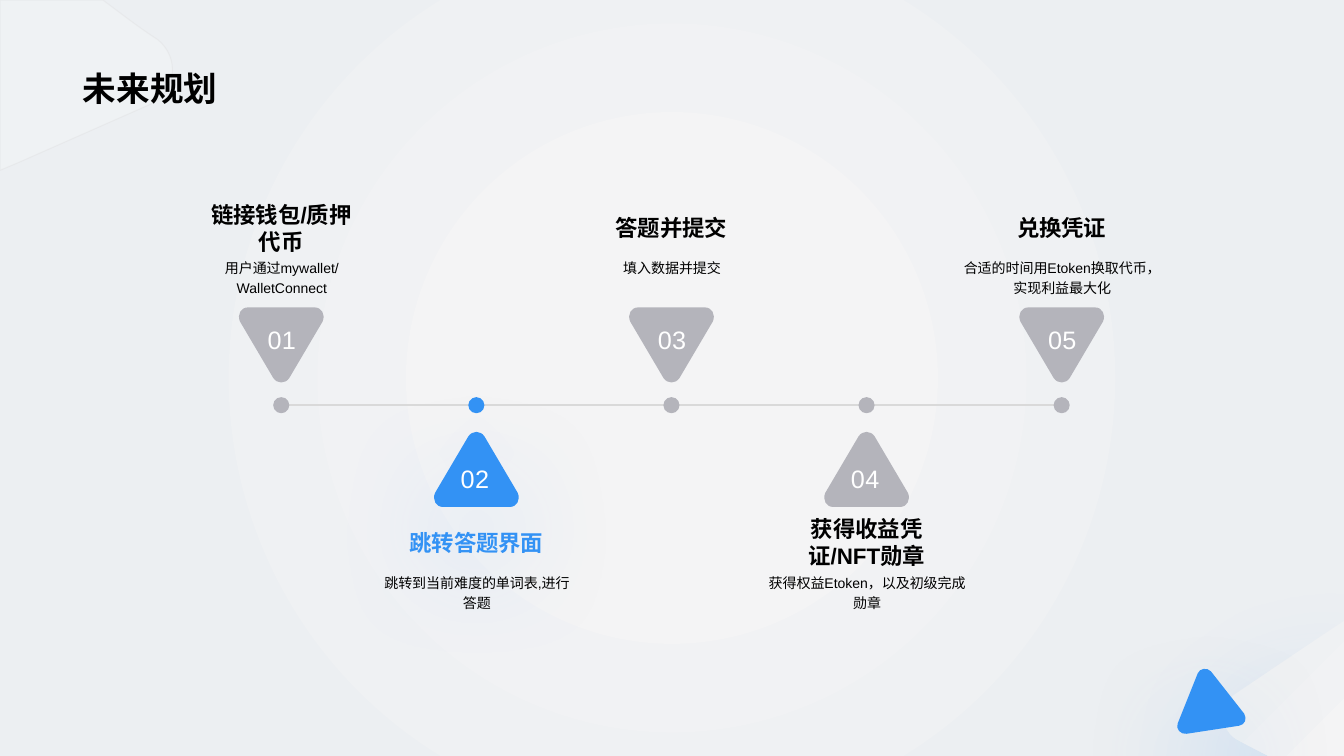
from lxml import etree
from pptx import Presentation
from pptx import util as u
from pptx.dml.color import RGBColor
from pptx.enum import shapes, text
from pptx.oxml import ns

BLUE = RGBColor(0x33, 0x92, 0xF4)
DEEP_BLUE = RGBColor(0x0C, 0x77, 0xE2)
GREY = RGBColor(0xB4, 0xB4, 0xBB)
RULE = RGBColor(0xD9, 0xD9, 0xD9)
EDGE = RGBColor(0xD0, 0xCE, 0xCE)
MIST = RGBColor(0xEC, 0xEF, 0xF2)
PALE = RGBColor(0xF4, 0xF4, 0xF5)
WHITE = RGBColor(0xFF, 0xFF, 0xFF)
BLACK = RGBColor(0, 0, 0)

W, H = 13.33, 7.5
FIRST, LAST = 2.79, 10.53
AXIS = 4.02
DOT = 0.16

prs = Presentation()
prs.slide_width, prs.slide_height = u.Inches(W), u.Inches(H)
s = prs.slides.add_slide(prs.slide_layouts[6])


def paint(sp, stops, glow=None):
    sp.shadow.inherit = False
    sp.line.fill.background()
    if len(stops) == 1:
        sp.fill.solid()
        sp.fill.fore_color.rgb = stops[0][1]
    else:
        sp.fill.gradient()
        sp.fill.gradient_angle = 315
        for stop, (pos, color) in zip(sp.fill.gradient_stops, stops):
            stop.position, stop.color.rgb = pos, color
    if glow:
        effects = sp._element.spPr.find(ns.qn("a:effectLst"))
        shadow = etree.SubElement(effects, ns.qn("a:outerShdw"), blurRad=str(u.Pt(84)),
                                  dist=str(u.Pt(34)), dir="5400000", algn="t", rotWithShape="0")
        color = etree.SubElement(shadow, ns.qn("a:srgbClr"), val=str(glow))
        etree.SubElement(color, ns.qn("a:alpha"), val="20000")


def write(x, y, w, h, runs, color, bold=False, align=text.PP_ALIGN.CENTER,
          anchor=text.MSO_ANCHOR.TOP, spacing=1.0, wrap=True,
          fit=text.MSO_AUTO_SIZE.SHAPE_TO_FIT_TEXT):
    tf = s.shapes.add_textbox(u.Inches(x), u.Inches(y), u.Inches(w), u.Inches(h)).text_frame
    tf.word_wrap = wrap
    tf.auto_size = fit
    tf.vertical_anchor = anchor
    p = tf.paragraphs[0]
    p.alignment, p.line_spacing = align, spacing
    for words, size in runs:
        r = p.add_run()
        r.text = words
        r.font.name, r.font.size, r.font.bold = "Arial", u.Pt(size), bold
        r.font.color.rgb = color


steps = [
    ("链接钱包/质押代币", "用户通过mywallet/WalletConnect"),
    ("跳转答题界面", "跳转到当前难度的单词表,进行答题"),
    ("答题并提交", "填入数据并提交"),
    ("获得收益凭证/NFT勋章", "获得权益Etoken，以及初级完成勋章"),
    ("兑换凭证", "合适的时间用Etoken换取代币，实现利益最大化"),
]
col = (LAST - FIRST) / (len(steps) - 1)
centres = [FIRST + i * col for i in range(len(steps))]

backdrop = s.shapes.add_shape(shapes.MSO_SHAPE.RECTANGLE, 0, 0, prs.slide_width, prs.slide_height)
paint(backdrop, [(0.23, PALE), (0.69, MIST)])
grad = backdrop._element.spPr.find(ns.qn("a:gradFill"))
grad.remove(grad.find(ns.qn("a:lin")))
circle = etree.SubElement(grad, ns.qn("a:path"), path="circle")
etree.SubElement(circle, ns.qn("a:fillToRect"), l="50000", t="50000", r="50000", b="50000")

top_corner = [(0, 0), (1.02, 0), (1.18, 0.12), (1.3, 0.21, 1.42, 0.3, 1.56, 0.39),
              (1.79, 0.57, 1.75, 0.92, 1.48, 1.04), (0.19, 1.61), (0, 1.69)]
bottom_corner = [(W, 6.16), (W, H), (12.58, H), (12.29, 7.35),
                 (12.1, 7.26, 12.08, 7, 12.26, 6.88), (13.12, 6.3)]
accent = [(11.88, 6.68), (11.68, 7.18), (11.66, 7.23, 11.71, 7.29, 11.77, 7.28), (12.29, 7.2),
          (12.35, 7.19, 12.37, 7.13, 12.34, 7.08), (12.01, 6.66),
          (11.97, 6.62, 11.9, 6.63, 11.88, 6.68)]
triangle = [(0.08, 0.06), (0.41, 0.62), (0.44, 0.69, 0.4, 0.76, 0.33, 0.76), (-0.33, 0.76),
            (-0.4, 0.76, -0.44, 0.69, -0.41, 0.62), (-0.08, 0.06),
            (-0.04, 0, 0.04, 0, 0.08, 0.06)]

outlines = [(top_corner, [(0, WHITE)], None),
            (bottom_corner, [(0.12, MIST), (1, PALE)], BLUE),
            (accent, [(0, BLUE)], DEEP_BLUE)]
for i, cx in enumerate(centres):
    tip, way = (4.27, 1) if i % 2 else (3.81, -1)
    placed = [tuple(tip + way * v if k % 2 else cx + v for k, v in enumerate(seg))
              for seg in triangle]
    active = i == 1
    outlines.append((placed, [(0, BLUE if active else GREY)], BLUE if active else None))

for segments, stops, glow in outlines:
    emu = [(u.Inches(seg[k]), u.Inches(seg[k + 1]))
           for seg in segments for k in range(0, len(seg), 2)]
    builder = s.shapes.build_freeform(*emu[0])
    builder.add_line_segments(emu[1:], close=False)
    sp = builder.convert_to_shape()
    outline = next(sp._element.iter(ns.qn("a:moveTo"))).getparent()
    lines = iter(outline.findall(ns.qn("a:lnTo")))
    for seg in segments[1:]:
        group = [next(lines) for _ in range(len(seg) // 2)]
        if len(group) == 3:
            curve = etree.Element(ns.qn("a:cubicBezTo"))
            group[0].addprevious(curve)
            for line in group:
                curve.append(line[0])
                outline.remove(line)
    etree.SubElement(outline, ns.qn("a:close"))
    paint(sp, stops, glow)
    if segments is top_corner:
        sp.line.color.rgb = EDGE
        sp.line.width = u.Pt(0.75)
        for color in sp._element.spPr.iter(ns.qn("a:srgbClr")):
            etree.SubElement(color, ns.qn("a:alpha"), val="20000")

axis = s.shapes.add_connector(shapes.MSO_CONNECTOR.STRAIGHT, u.Inches(2.83), u.Inches(AXIS),
                              u.Inches(10.51), u.Inches(AXIS))
axis.line.color.rgb = RULE
axis.line.width = u.Pt(1)
etree.SubElement(axis._element.spPr, ns.qn("a:effectLst"))

write(0.72, 0, 11.88, 1.13, [("未", 24), (" ", 1), ("来规划", 24)], BLACK, bold=True,
      align=text.PP_ALIGN.LEFT, anchor=text.MSO_ANCHOR.BOTTOM, spacing=0.9,
      fit=text.MSO_AUTO_SIZE.NONE)

for i, (cx, (heading, detail)) in enumerate(zip(centres, steps)):
    below, active = i % 2, i == 1
    dot = s.shapes.add_shape(shapes.MSO_SHAPE.OVAL, u.Inches(cx - DOT / 2),
                             u.Inches(AXIS - DOT / 2), u.Inches(DOT), u.Inches(DOT))
    paint(dot, [(0, BLUE if active else GREY)], BLUE if active else None)
    heading_h = 0.64 if len(heading) > 6 else 0.37
    detail_h = 0.49 if len(detail) > 12 else 0.28
    write(cx - 0.86, (5.38 if below else 2.26) - heading_h / 2, 1.72, heading_h,
          [(heading, 16)], BLUE if active else BLACK, bold=True, anchor=text.MSO_ANCHOR.MIDDLE)
    write(cx - 1.07, 5.62 if below else 2.49, 2.15, detail_h, [(detail, 10)], BLACK, spacing=1.2)
    write(cx - (0.26 if below else 0.24), 4.55 if below else 3.17, 0.49, 0.4,
          [("0", 18), (" ", 1), (str(i + 1), 18)], WHITE, wrap=False)

prs.save("out.pptx")
